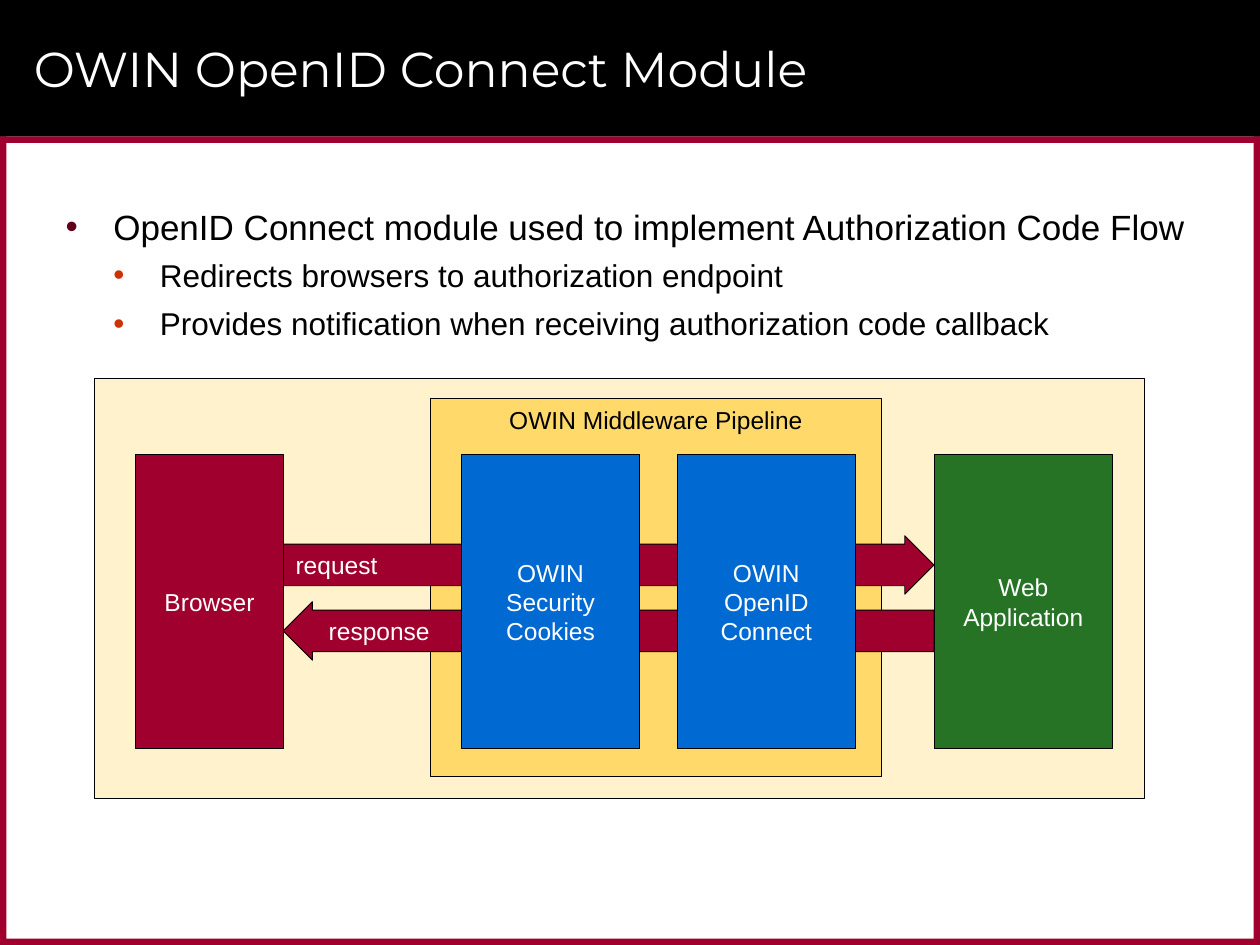
import pptx
import pptx.util
import pptx.dml.color
import pptx.enum.shapes
import pptx.enum.text
import pptx.oxml
import pptx.oxml.ns
import lxml.etree

Cm, Pt = pptx.util.Cm, pptx.util.Pt
SHAPE = pptx.enum.shapes.MSO_SHAPE
ALIGN = pptx.enum.text.PP_ALIGN
ANCHOR = pptx.enum.text.MSO_ANCHOR

COLORS = {
    "black": "000000", "white": "FFFFFF", "red": "9F002D", "blue": "0069D2",
    "green": "267326", "cream": "FFF2CD", "gold": "FFD969",
    "bullet": "60001B", "sub_bullet": "CC3300",
}

# Content
TITLE = "OWIN OpenID Connect Module"
BULLETS = [  # level, text
    (0, "OpenID Connect module used to implement Authorization Code Flow"),
    (1, "Redirects browsers to authorization endpoint"),
    (1, "Provides notification when receiving authorization code callback"),
]
LEVELS = [  # size, space before, space after, left margin, hanging, bullet color
    (20, 6, 2, 0.96, 0.96, "bullet"),
    (18, 3, 3, 1.9, 0.94, "sub_bullet"),
]
BOXES = [  # left, width, color, paragraphs
    (2.74, 2.97, "red", ["Browser"]),
    (9.3, 3.6, "blue", ["OWIN", "Security", "Cookies"]),
    (13.65, 3.6, "blue", ["OWIN OpenID Connect"]),
    (18.83, 3.6, "green", ["Web", "Application"]),
]
ARROWS = [  # label, top, left inset, points left
    ("request", 10.8, 0.25, False),
    ("response", 12.13, 0.5, True),
]

# Geometry in centimetres
PAGE_W, PAGE_H = 25.4, 19.05
HEADER_H, BORDER = 2.75, 0.13
BOX_TOP, BOX_H, ARROW_H = 9.17, 5.92, 1.18


def rgb(name):
    return pptx.dml.color.RGBColor.from_string(COLORS[name])


def add_span(para, text, size, color, font="Arial"):
    span = para.add_run()
    span.text = text
    span.font.size, span.font.name = Pt(size), font
    span.font.color.rgb = rgb(color)


def add_block(page, kind, place, fill, outlined=True):
    block = page.shapes.add_shape(kind, *map(Cm, place))
    block.shadow.inherit = False
    block.fill.solid()
    block.fill.fore_color.rgb = rgb(fill)
    if outlined:
        block.line.color.rgb = rgb("black")
        block.line.width = Pt(0.5)
    else:
        block.line.fill.background()
    return block


def label(block, lines, color="white", align=ALIGN.CENTER, anchor=ANCHOR.MIDDLE):
    frame = block.text_frame
    frame.word_wrap = True
    frame.vertical_anchor = anchor
    for index, line in enumerate(lines):
        para = frame.add_paragraph() if index else frame.paragraphs[0]
        para.alignment = align
        add_span(para, line, 14, color)


def place_holder(holder, place, anchor):
    holder.left, holder.top, holder.width, holder.height = map(Cm, place)
    frame = holder.text_frame
    frame.word_wrap = True
    frame.auto_size = pptx.enum.text.MSO_AUTO_SIZE.NONE
    frame.vertical_anchor = anchor
    return frame


def set_bullet(para, margin, hanging, color):
    props = para._p.get_or_add_pPr()
    props.set("marL", str(Cm(margin)))
    props.set("indent", str(-Cm(hanging)))
    tag = pptx.oxml.ns.qn
    tint = lxml.etree.SubElement(props, tag("a:buClr"))
    lxml.etree.SubElement(tint, tag("a:srgbClr"), val=COLORS[color])
    lxml.etree.SubElement(props, tag("a:buFont"), typeface="Arial")
    lxml.etree.SubElement(props, tag("a:buChar"), char="•")


def add_frame(page):
    side_h = PAGE_H - HEADER_H
    bands = [
        ((0, 0, PAGE_W, HEADER_H), "black"),
        ((0, HEADER_H, PAGE_W, BORDER), "red"),
        ((0, PAGE_H - BORDER, PAGE_W, BORDER), "red"),
        ((0, HEADER_H, BORDER, side_h), "red"),
        ((PAGE_W - BORDER, HEADER_H, BORDER, side_h), "red"),
    ]
    tree = page.shapes._spTree
    for place, color in bands:
        band = add_block(page, SHAPE.RECTANGLE, place, color, outlined=False)
        tree.insert(2, band._element)  # behind the placeholders


def add_text(page):
    frame = place_holder(page.shapes.title, (0.43, 0.2, 23.93, 2.34), ANCHOR.MIDDLE)
    frame.paragraphs[0].alignment = ALIGN.LEFT
    add_span(frame.paragraphs[0], TITLE, 28, "white", "Montserrat")

    frame = place_holder(page.placeholders[1], (1.07, 4.01, 23.29, 14.4), ANCHOR.TOP)
    for index, (level, text) in enumerate(BULLETS):
        size, before, after, margin, hanging, color = LEVELS[level]
        para = frame.add_paragraph() if index else frame.paragraphs[0]
        para.level = level
        para.space_before, para.space_after = Pt(before), Pt(after)
        set_bullet(para, margin, hanging, color)
        add_span(para, text, size, "black")


def add_diagram(page):
    # Background panels
    add_block(page, SHAPE.RECTANGLE, (1.9, 7.62, 21.17, 8.47), "cream")
    pipeline = add_block(page, SHAPE.RECTANGLE, (8.68, 8.04, 9.09, 7.62), "gold")
    label(pipeline, ["OWIN Middleware Pipeline"], "black", anchor=ANCHOR.TOP)

    # Arrows run from the browser to the web application
    start = BOXES[0][0] + BOXES[0][1]
    length = BOXES[-1][0] - start
    for text, top, inset, points_left in ARROWS:
        arrow = add_block(page, SHAPE.RIGHT_ARROW, (start, top, length, ARROW_H), "red")
        arrow.adjustments[0] = 0.71
        arrow.adjustments[1] = 0.5
        if points_left:
            arrow._element.spPr.xfrm.set("flipH", "1")
        label(arrow, [text], align=ALIGN.LEFT)
        arrow.text_frame.margin_left = Cm(inset)

    # Boxes cover the arrow shafts
    for left, width, color, lines in BOXES:
        box = add_block(page, SHAPE.RECTANGLE, (left, BOX_TOP, width, BOX_H), color)
        label(box, lines)


def main():
    deck = pptx.Presentation()
    deck.slide_width, deck.slide_height = Cm(PAGE_W), Cm(PAGE_H)
    page = deck.slides.add_slide(deck.slide_layouts[1])
    add_frame(page)
    add_text(page)
    add_diagram(page)
    deck.save("out.pptx")


if __name__ == "__main__":
    main()
